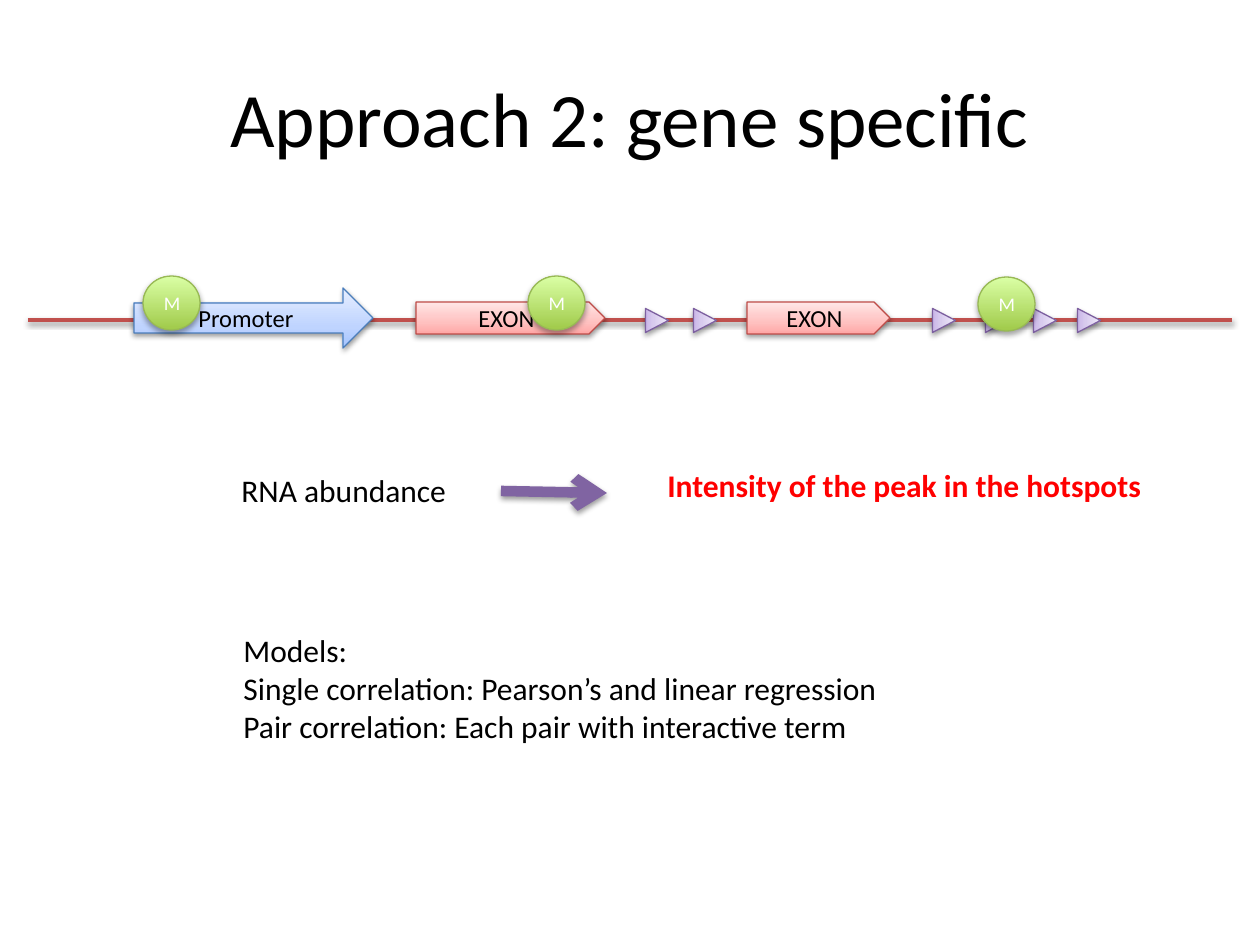
from dataclasses import dataclass

from lxml import etree
from pptx import Presentation
from pptx import util as u
from pptx.dml.color import RGBColor
from pptx.enum import shapes, text
from pptx.oxml.ns import qn

EMU_PER_PX = 914400 / 126
FONT = "Calibri"
KIND = shapes.MSO_SHAPE


@dataclass(frozen=True)
class Look:
    stops: tuple  # (position in percent, colour)
    line: str
    shadow_alpha: int = 38
    shadow_dist: int = 20000


@dataclass(frozen=True)
class Part:
    kind: int
    left: int
    top: int
    width: int
    height: int
    look: Look
    label: str = ""
    size: int = 14
    color: str = "000000"
    align: int = text.PP_ALIGN.CENTER
    rotation: int = 0


BLUE = Look(((0, "A4C4FF"), (35, "BFD4FF"), (100, "E6EEFF")), "4B7EBC")
RED = Look(((0, "FFA6A5"), (35, "FFC0BF"), (100, "FFE7E7")), "BF4C48")
PURPLE = Look(((0, "C9B5E8"), (35, "D8CBEE"), (100, "F0EAF9")), "7D60A0")
GREEN = Look(((0, "A0CA4A"), (100, "DAFFA5")), "98B955", 35, 23000)


def px(length: int) -> int:
    return u.Emu(round(length * EMU_PER_PX))


def rgb(color: str) -> RGBColor:
    return RGBColor.from_string(color)


def add_color(parent, color: str):
    return etree.SubElement(parent, qn("a:srgbClr"), val=color)


def set_shadow(shape, alpha: int = 38, dist: int = 20000) -> None:
    """Give a shape or connector a soft shadow straight below it."""
    effects = etree.SubElement(shape._element.spPr, qn("a:effectLst"))
    shadow = etree.SubElement(effects, qn("a:outerShdw"), blurRad="40000",
                              dist=str(dist), dir="5400000", rotWithShape="0")
    etree.SubElement(add_color(shadow, "000000"), qn("a:alpha"), val=str(alpha * 1000))


def set_gradient(shape, stops: tuple) -> None:
    shape.fill.gradient()
    shape.fill.gradient_angle = 90
    stop_list = shape._element.spPr.find(".//" + qn("a:gsLst"))
    for old in list(stop_list):
        stop_list.remove(old)
    for position, color in stops:
        add_color(etree.SubElement(stop_list, qn("a:gs"), pos=str(position * 1000)), color)


def style_para(para, size: int, color: str, bold: bool = False) -> None:
    para.font.name = FONT
    para.font.size = u.Pt(size)
    para.font.bold = bold
    para.font.color.rgb = rgb(color)


def add_part(page, part: Part) -> None:
    shape = page.shapes.add_shape(part.kind, px(part.left), px(part.top),
                                  px(part.width), px(part.height))
    shape.rotation = part.rotation
    set_gradient(shape, part.look.stops)
    shape.line.color.rgb = rgb(part.look.line)
    shape.line.width = u.Pt(0.75)
    set_shadow(shape, part.look.shadow_alpha, part.look.shadow_dist)
    if part.label:
        shape.text_frame.vertical_anchor = text.MSO_ANCHOR.MIDDLE
        para = shape.text_frame.paragraphs[0]
        para.text = part.label
        para.alignment = part.align
        style_para(para, part.size, part.color)


def add_line(page, start: tuple, end: tuple, color: str, width: int, arrow: bool = False) -> None:
    line = page.shapes.add_connector(shapes.MSO_CONNECTOR.STRAIGHT,
                                     px(start[0]), px(start[1]), px(end[0]), px(end[1]))
    line.line.color.rgb = rgb(color)
    line.line.width = u.Pt(width)
    if arrow:
        etree.SubElement(line._element.spPr.find(qn("a:ln")), qn("a:tailEnd"), type="arrow")
    set_shadow(line)


def add_text(page, area: tuple, lines: list, color: str = "000000",
             bold: bool = False, wrap: bool = False) -> None:
    box = page.shapes.add_textbox(*map(px, area))
    frame = box.text_frame
    frame.word_wrap = wrap
    frame.auto_size = text.MSO_AUTO_SIZE.SHAPE_TO_FIT_TEXT
    frame.text = "\n".join(lines)
    for para in frame.paragraphs:
        style_para(para, 18, color, bold)


def main() -> None:
    deck = Presentation()
    deck.slide_width, deck.slide_height = px(1260), px(945)
    page = deck.slides.add_slide(deck.slide_layouts[5])

    # Title
    title = page.shapes.title
    title.left, title.top, title.width, title.height = map(px, (63, 38, 1134, 158))
    title.text_frame.text = "Approach 2: gene specific"
    title.text_frame.vertical_anchor = text.MSO_ANCHOR.MIDDLE
    heading = title.text_frame.paragraphs[0]
    heading.alignment = text.PP_ALIGN.CENTER
    style_para(heading, 44, "000000")

    # Gene: strand, promoter, exons, repeats and M markers
    add_line(page, (28, 320), (1232, 320), "C0504D", 2)
    parts = [Part(KIND.RIGHT_ARROW, 134, 288, 239, 60, BLUE, "Promoter")]
    parts += [Part(KIND.PENTAGON, left, 302, width, 32, RED, "EXON")
              for left, width in ((416, 189), (747, 143))]
    parts += [Part(KIND.ISOSCELES_TRIANGLE, left, 309, 24, 23, PURPLE, rotation=90)
              for left in (645, 693, 932, 985, 1033, 1077)]
    parts += [Part(KIND.OVAL, left, top, 57, 54, GREEN, "M", 11, "FFFFFF", text.PP_ALIGN.LEFT)
              for left, top in ((528, 276), (143, 276), (978, 277))]
    for part in parts:
        add_part(page, part)

    # Relation
    add_text(page, (229, 465, 232, 50), ["RNA abundance"])
    add_text(page, (655, 460, 505, 50), ["Intensity of the peak in the hotspots"],
             "FF0000", bold=True)
    add_line(page, (501, 491), (607, 493), "8064A2", 6, arrow=True)

    # Models
    add_text(page, (231, 625, 717, 127),
             ["Models:",
              "Single correlation: Pearson’s and linear regression",
              "Pair correlation: Each pair with interactive term"], wrap=True)

    deck.save("out.pptx")


if __name__ == "__main__":
    main()
